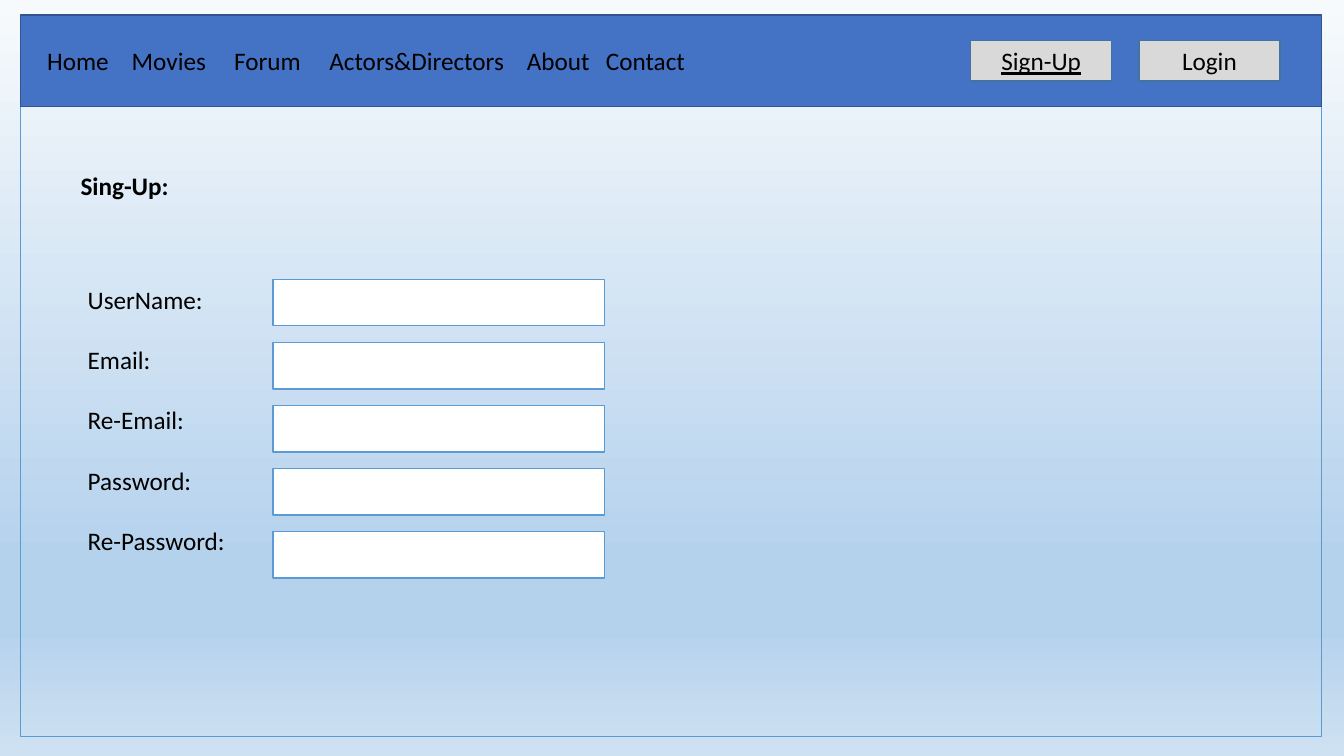
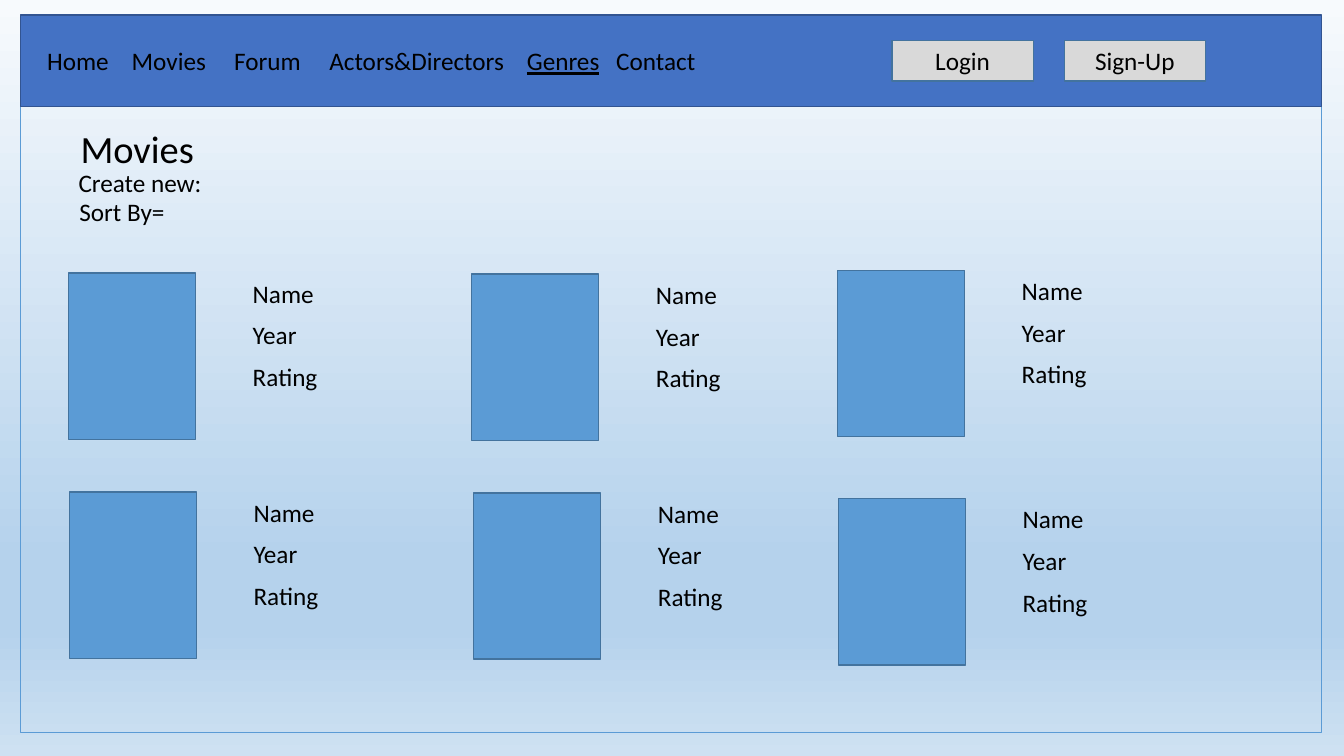
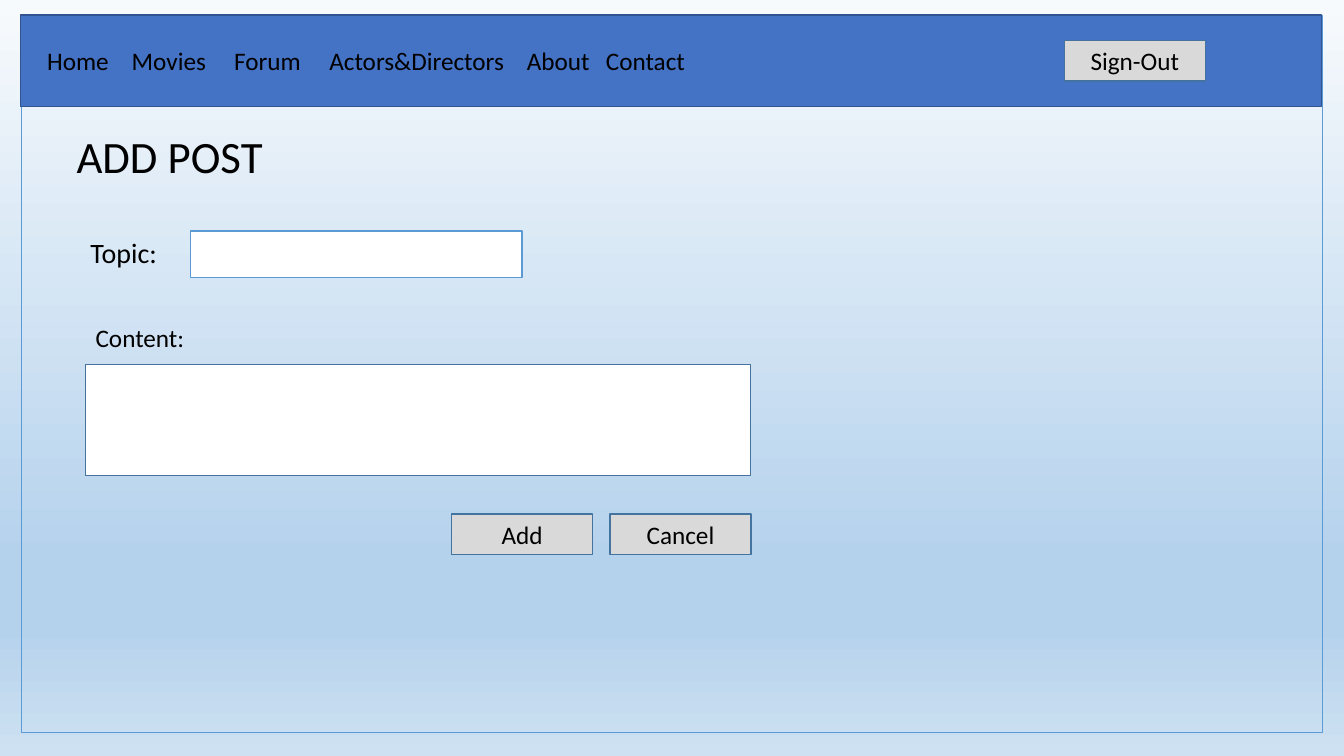
from lxml.etree import SubElement
from pptx import Presentation
from pptx.dml.color import RGBColor
from pptx.enum.shapes import MSO_SHAPE
from pptx.enum.text import MSO_ANCHOR, MSO_AUTO_SIZE, PP_ALIGN
from pptx.oxml.ns import qn
from pptx.util import Cm, Pt

BLACK = RGBColor(0x00, 0x00, 0x00)
WHITE = RGBColor(0xFF, 0xFF, 0xFF)
GREY = RGBColor(0xD9, 0xD9, 0xD9)
BAND_BLUE = RGBColor(0x44, 0x72, 0xC4)
BAND_EDGE = RGBColor(0x32, 0x54, 0x91)
SKY = RGBColor(0x5B, 0x9B, 0xD5)
STEEL = RGBColor(0x43, 0x73, 0x9E)
BACKGROUND = [(0, "F7FAFD"), (74, "B5D2EC"), (83, "B5D2EC"), (100, "CEE1F2")]

FONT = "Calibri"
BUTTON_W, BUTTON_H = 3.56, 1.02
FIELD_W, FIELD_H = 8.36, 1.17
BUTTON = dict(fill=GREY, line=STEEL, align=PP_ALIGN.CENTER, anchor=MSO_ANCHOR.MIDDLE)
FIELD = dict(fill=WHITE, line=SKY)


def add_box(page, left, top, width, height, text="", fill=None, line=None, weight=1,
            size=18, bold=False, underline="", align=PP_ALIGN.LEFT, anchor=MSO_ANCHOR.TOP,
            line_spacing=None, gap=0, tabs=()):
    """Add a rectangle, or a plain text box when there is no line; lengths in cm."""
    place = Cm(left), Cm(top), Cm(width), Cm(height)
    if line is None:
        box = page.shapes.add_textbox(*place)
    else:
        box = page.shapes.add_shape(MSO_SHAPE.RECTANGLE, *place)
        box.shadow.inherit = False
        box.line.color.rgb = line
        box.line.width = Pt(weight)
        if fill is None:
            box.fill.background()
        else:
            box.fill.solid()
            box.fill.fore_color.rgb = fill
    if not text:
        return
    frame = box.text_frame
    frame.word_wrap = True
    frame.vertical_anchor = anchor
    if anchor == MSO_ANCHOR.TOP:
        frame.auto_size = MSO_AUTO_SIZE.SHAPE_TO_FIT_TEXT
    for index, words in enumerate(text.split("\n")):
        para = frame.add_paragraph() if index else frame.paragraphs[0]
        para.alignment = align
        if line_spacing:
            para.line_spacing = line_spacing
        if index and gap:
            para.space_before = Pt(gap)
        if tabs:
            stops = SubElement(para._p.get_or_add_pPr(), qn("a:tabLst"))
            for stop in tabs:
                SubElement(stops, qn("a:tab"), pos=str(Cm(stop)), algn="l")
        for piece in words.partition(underline) if underline else [words]:
            if piece:
                span = para.add_run()
                span.text = piece
                span.font.name = FONT
                span.font.size = Pt(size)
                span.font.bold = bold
                span.font.underline = piece == underline
                span.font.color.rgb = BLACK


def add_page(buttons, fifth="About", contact_stop=14.08, frame_left=0.51, frame_top=0.38,
             active=""):
    """Add a slide with its frame, menu band and the buttons in the band."""
    page = deck.slides.add_slide(deck.slide_layouts[6])
    add_box(page, frame_left, frame_top, 32.79, 18.08, line=SKY, weight=0.75)
    add_box(page, 0.51, 0.38, 32.79, 2.31, fill=BAND_BLUE, line=BAND_EDGE)
    menu = ["Home", "Movies", "Forum", "Actors&Directors", fifth, "Contact"]
    add_box(page, 0.94, 1.02, 18.39, 1.02, "\t".join(menu), underline=active,
            tabs=(2.13, 4.71, 7.11, 12.09, contact_stop))
    for left, label in buttons:
        add_box(page, left, 1.02, BUTTON_W, BUTTON_H, label, underline=active, **BUTTON)
    return page


deck = Presentation()
deck.slide_width, deck.slide_height = Cm(33.87), Cm(19.05)

# Background gradient, shared through the master
fill = deck.slide_master.background.fill
fill.gradient()
fill.gradient_angle = 270
stops = deck.slide_master.element.find(".//" + qn("a:gsLst"))
for stop in list(stops):
    stops.remove(stop)
for percent, colour in BACKGROUND:
    stop = SubElement(stops, qn("a:gs"), pos=str(percent * 1000))
    SubElement(stop, qn("a:srgbClr"), val=colour)

# Slide 1: sign-up form
page = add_page([(28.7, "Login"), (24.46, "Sign-Up")], frame_top=0.48, active="Sign-Up")
add_box(page, 1.78, 4.17, 14.2, 1.02, "Sing-Up:", bold=True)
labels = ["UserName:", "Email:", "Re-Email:", "Password:", "Re-Password:"]
add_box(page, 1.96, 7.04, 9.12, 8.71, "\n".join(labels), gap=21.4)
for row in range(len(labels)):
    add_box(page, 6.88, 7.04 + row * 1.59, FIELD_W, FIELD_H, **FIELD)

# Slide 2: movie list
page = add_page([(22.48, "Login"), (26.82, "Sign-Up")], fifth="Genres", contact_stop=14.34,
                active="Genres")
add_box(page, 1.78, 3.28, 11.38, 1.19, "Movies", size=27.5, line_spacing=0.7,
        anchor=MSO_ANCHOR.MIDDLE)
posters = [(1.73, 6.88), (1.75, 12.4), (11.89, 6.91), (11.94, 12.42), (21.11, 6.81),
           (21.13, 12.57)]
for left, top in posters:
    add_box(page, left, top, 3.2, 4.19, fill=SKY, line=STEEL)
    for row, label in enumerate(["Name", "Year", "Rating"]):
        add_box(page, left + 4.39, top + row * 1.05, 4.6, 1.02, label)
add_box(page, 1.75, 4.83, 6.45, 1.02, "Sort By=")
add_box(page, 1.73, 4.04, 11.38, 1.19, "Create new:", line_spacing=0.9,
        anchor=MSO_ANCHOR.MIDDLE)

# Slide 3: new post
page = add_page([(26.82, "Sign-Out")], frame_left=0.54)
add_box(page, 1.68, 3.12, 7.32, 1.63, "ADD POST", size=32)
add_box(page, 2.03, 5.82, 2.9, 1.12, "Topic:", size=20)
add_box(page, 4.8, 5.82, FIELD_W, FIELD_H, **FIELD)
add_box(page, 2.16, 9.19, 16.76, 2.79, fill=WHITE, line=STEEL)
add_box(page, 2.16, 8, 3.71, 1.02, "Content:")
for left, label in [(11.38, "Add"), (15.37, "Cancel")]:
    add_box(page, left, 12.95, BUTTON_W, BUTTON_H, label, **BUTTON)

deck.save("out.pptx")
